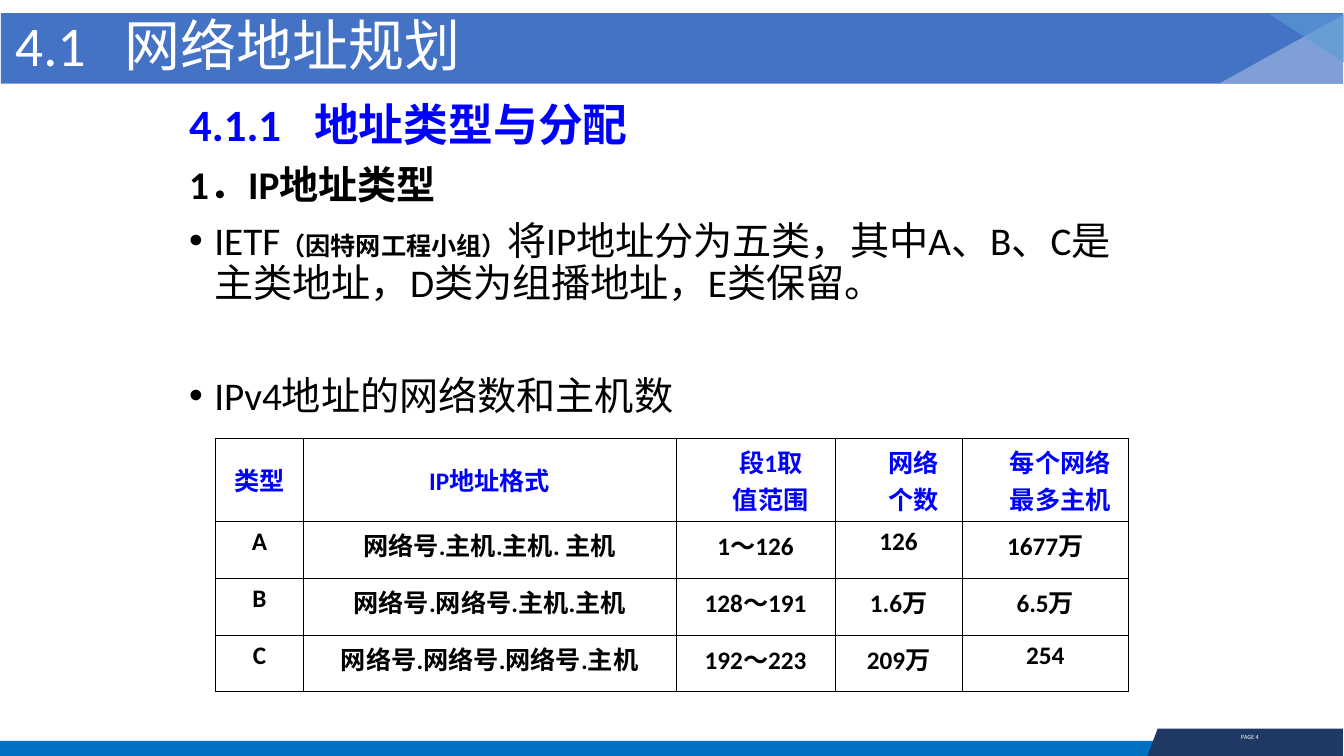
import pptx
import pptx.util
import pptx.dml.color
import pptx.enum.shapes
import pptx.enum.text
import pptx.oxml.ns
import lxml.etree

RGB = pptx.dml.color.RGBColor
SHAPE = pptx.enum.shapes.MSO_SHAPE
ALIGN = pptx.enum.text.PP_ALIGN
ANCHOR = pptx.enum.text.MSO_ANCHOR

WHITE = RGB(0xFF, 0xFF, 0xFF)
BLACK = RGB(0, 0, 0)
BLUE = RGB(0, 0, 0xFF)
BAND = RGB(0x44, 0x72, 0xC4)
FOOT = RGB(0, 0x70, 0xC0)
NAVY = RGB(0x20, 0x38, 0x64)
PALE = RGB(0x8F, 0xAA, 0xDC)
SKY = RGB(0x5B, 0x9B, 0xD5)

LATIN = "Calibri"
ASIAN = "Noto Sans CJK SC"
SCALE = 9144

TITLE = "4.1\t网络地址规划"
PAGE = "PAGE 4"

BODY = [
    ([("4.1.1\t地址类型与分配", 32, True, BLUE)], False, 0, 124),
    ([("1．IP地址类型", 28, True, BLACK)], False, 10, None),
    ([("IETF", 28, False, BLACK),
      ("（因特网工程小组）", 18, True, BLACK),
      ("将IP地址分为五类，其中A、B、C是主类地址，D类为组播地址，E类保留。",
       28, False, BLACK)], True, 10, None),
    ([("IPv4地址的网络数和主机数", 28, False, BLACK)], True, 50, None),
]

COLS = [87, 370, 158, 126, 165]
ROWS = [82, 57, 56, 56]
CELLS = [
    ["类型", "IP地址格式", "段1取\n值范围", "网络\n个数", "每个网络\n最多主机"],
    ["A", "网络号.主机.主机. 主机", "1～126", "126", "1677万"],
    ["B", "网络号.网络号.主机.主机", "128～191", "1.6万", "6.5万"],
    ["C", "网络号.网络号.网络号.主机", "192～223", "209万", "254"],
]

FLAGS = [
    ((1210, 15, 123, 68), PALE, 82, ("flipH",)),
    ((1260, 14, 74, 48), SKY, 67, ("flipH", "flipV")),
]
CORNER = [(1149, 723), (1333, 723), (1333, 750), (1139, 750)]


def px(n):
    return pptx.util.Emu(n * SCALE)


def add(node, tag, **attrs):
    return lxml.etree.SubElement(node, pptx.oxml.ns.qn(tag), **attrs)


def style(run, size, bold, color, latin=LATIN):
    font = run.font
    font.size = pptx.util.Pt(size)
    font.bold = bold
    font.name = latin
    font.color.rgb = color
    add(run._r.get_or_add_rPr(), "a:ea", typeface=ASIAN)


def indent(para, left, first):
    props = para._p.get_or_add_pPr()
    props.set("marL", str(px(left)))
    props.set("indent", str(px(first)))
    return props


def bullet(para):
    props = indent(para, 25, -25)
    add(props, "a:buFont", typeface="Arial")
    add(props, "a:buChar", char="•")


def set_tab(para, pos):
    tabs = add(para._p.get_or_add_pPr(), "a:tabLst")
    add(tabs, "a:tab", pos=str(px(pos)), algn="l")


def paint(shape, color):
    shape.shadow.inherit = False
    shape.fill.solid()
    shape.fill.fore_color.rgb = color
    shape.line.fill.background()


def block(kind, box, color):
    shape = slide.shapes.add_shape(kind, *map(px, box))
    paint(shape, color)
    return shape


def label(box, wrap=True):
    frame = slide.shapes.add_textbox(*map(px, box)).text_frame
    frame.word_wrap = wrap
    return frame


def border(cell, row):
    props = cell._tc.get_or_add_tcPr()
    top = 0.23 if row == 0 else 0.45
    base = 0.23 if row == len(ROWS) - 1 else 0.45
    for side, width in zip("LRTB", (0.23, 0.23, top, base)):
        line = add(props, "a:ln" + side, w=str(pptx.util.Pt(width)))
        add(add(line, "a:solidFill"), "a:srgbClr", val=str(BLACK))


deck = pptx.Presentation()
deck.slide_width, deck.slide_height = px(1334), px(750)
slide = deck.slides.add_slide(deck.slide_layouts[6])

block(SHAPE.RECTANGLE, (0, 735, 1333, 15), FOOT)
edge = slide.shapes.build_freeform(*CORNER[0], scale=SCALE)
edge.add_line_segments(CORNER[1:], close=True)
paint(edge.convert_to_shape(), NAVY)

frame = label((1209, 723, 63, 18), wrap=False)
frame.text = PAGE
para = frame.paragraphs[0]
para.alignment = ALIGN.CENTER
style(para.runs[0], 4, False, WHITE, ASIAN)

block(SHAPE.RECTANGLE, (1, 13, 1332, 70), BAND)
for box, color, alpha, flips in FLAGS:
    flag = block(SHAPE.ISOSCELES_TRIANGLE, box, color)
    flag.adjustments[0] = 0
    for flip in flips:
        flag.element.spPr.xfrm.set(flip, "1")
    tint = flag.element.spPr.find(".//" + pptx.oxml.ns.qn("a:srgbClr"))
    add(tint, "a:alpha", val=str(alpha * 1000))

frame = label((5, 17, 945, 63))
frame.vertical_anchor = ANCHOR.MIDDLE
frame.text = TITLE
para = frame.paragraphs[0]
set_tab(para, 109)
para.line_spacing = 0.9
style(para.runs[0], 40, False, WHITE)

frame = label((178, 97, 957, 591))
for i, (runs, dot, space, tab) in enumerate(BODY):
    para = frame.add_paragraph() if i else frame.paragraphs[0]
    if dot:
        bullet(para)
    if tab:
        set_tab(para, tab)
    para.line_spacing = 0.9
    para.space_before = pptx.util.Pt(space)
    for text, *look in runs:
        run = para.add_run()
        run.text = text
        style(run, *look)

grid = slide.shapes.add_table(
    len(ROWS), len(COLS), px(214), px(435), px(sum(COLS)), px(sum(ROWS))).table
grid.first_row = grid.horz_banding = False
for col, width in zip(grid.columns, COLS):
    col.width = px(width)
for r, (texts, height) in enumerate(zip(CELLS, ROWS)):
    grid.rows[r].height = px(height)
    for c, text in enumerate(texts):
        cell = grid.cell(r, c)
        border(cell, r)
        cell.fill.background()
        cell.vertical_anchor = ANCHOR.TOP if r else ANCHOR.MIDDLE
        cell.text = text
        for para in cell.text_frame.paragraphs:
            para.alignment = ALIGN.CENTER
            indent(para, 38, -8 if "\n" in text else -38)
            style(para.runs[0], 18, True, BLACK if r else BLUE)

deck.save("out.pptx")
